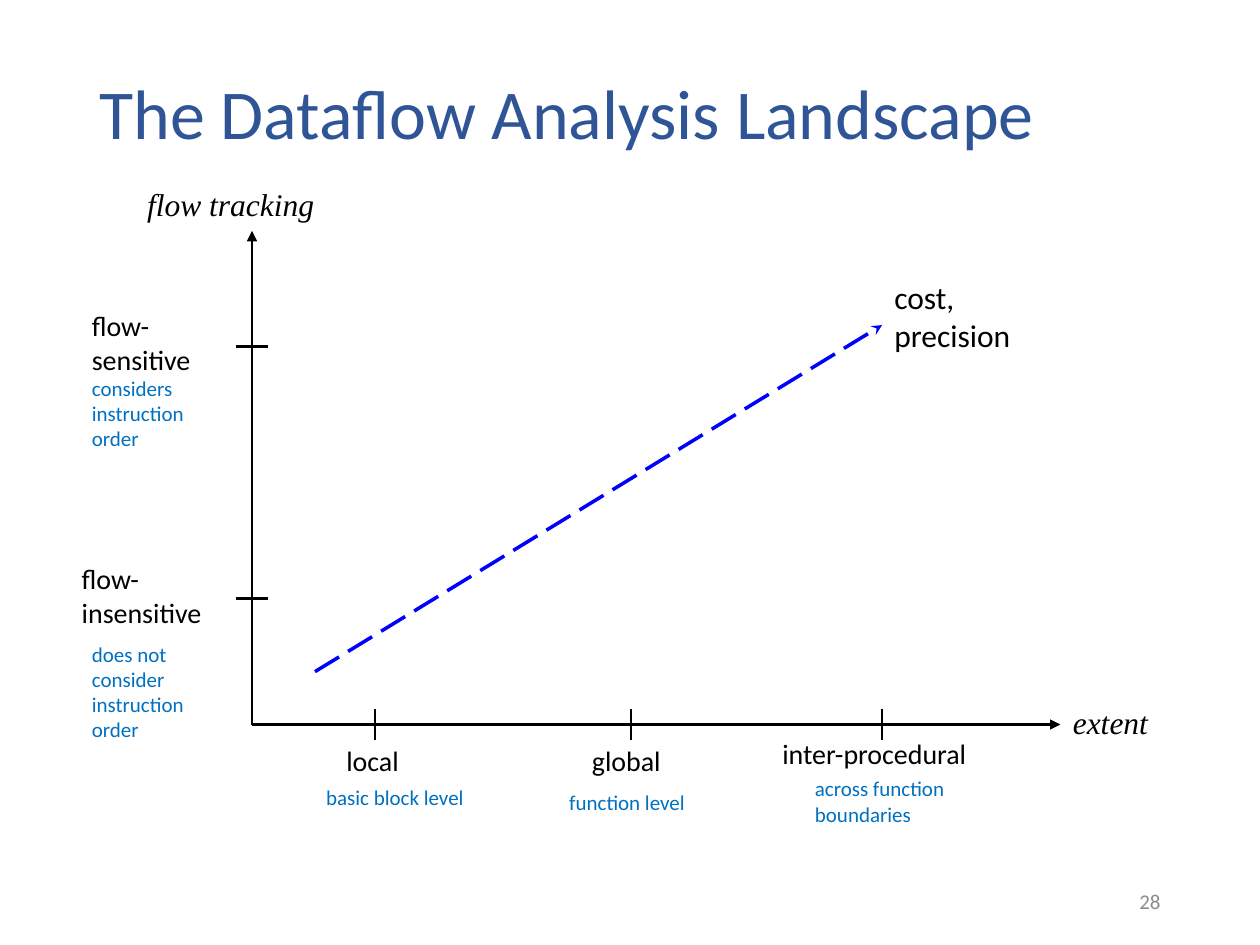
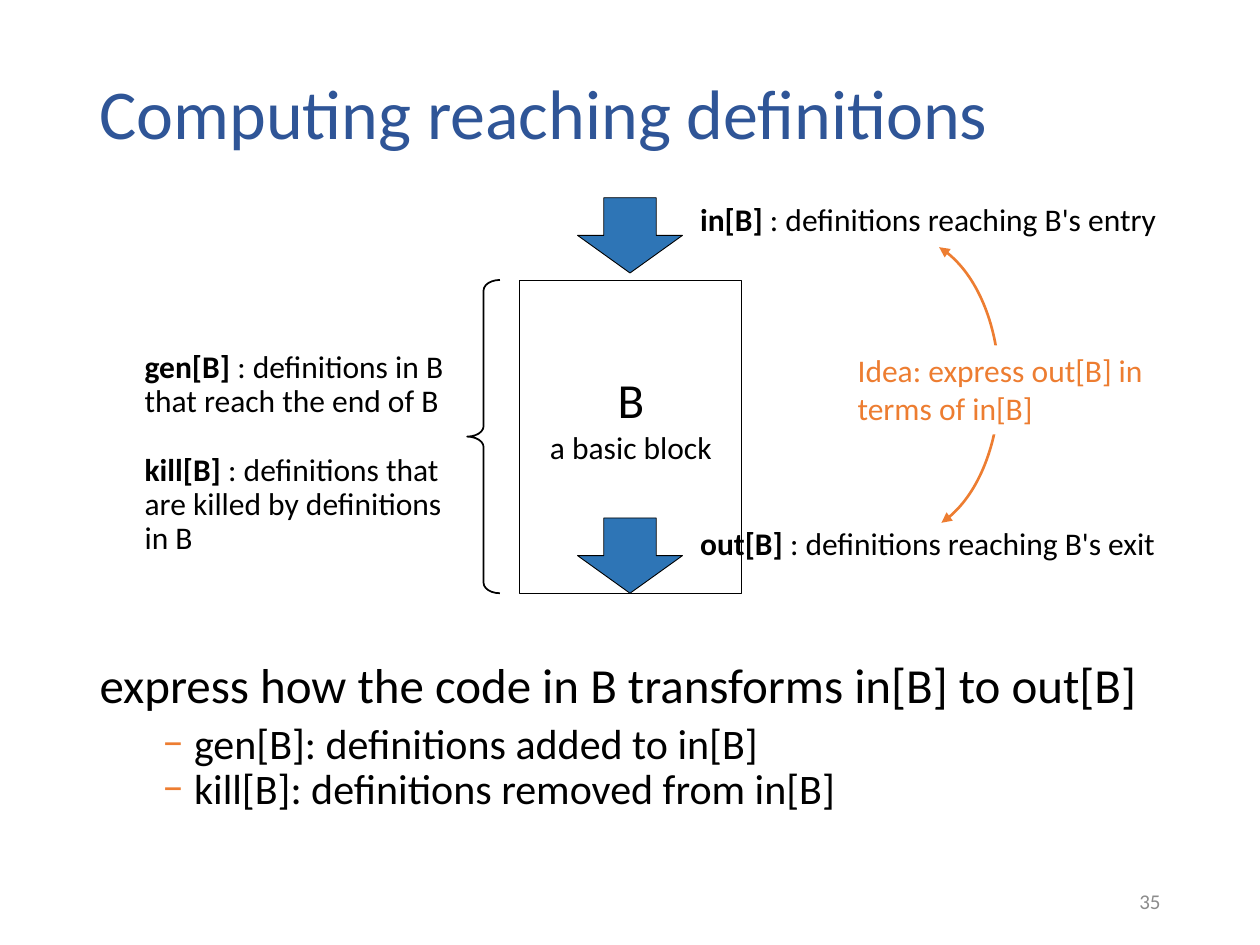
from lxml.etree import SubElement as Sub
from pptx import Presentation
from pptx.dml.color import RGBColor as RGB
from pptx.enum.dml import MSO_LINE as Dash
from pptx.enum.shapes import MSO_CONNECTOR as Conn, MSO_SHAPE as Kind
from pptx.enum.text import MSO_ANCHOR as Anchor, MSO_AUTO_SIZE as Fit, PP_ALIGN as Align
from pptx.oxml.ns import qn
from pptx.util import Pt

BLACK = RGB(0, 0, 0)
WHITE = RGB(255, 255, 255)
NAVY = RGB(0x2F, 0x55, 0x97)
GREY = RGB(0x8C, 0x8C, 0x8C)
SKY = RGB(0x00, 0x70, 0xC0)
BLUE = RGB(0, 0, 255)
STEEL = RGB(0x2E, 0x75, 0xB6)
ORANGE = RGB(0xED, 0x7D, 0x31)
SANS = "Calibri"
SERIF = "Times New Roman"

AXIS = {"size": 18, "name": SERIF, "italic": True}
TICK = {"size": 16}
HINT = {"size": 12, "color": SKY}
TEXT = {"size": 18}
TITLE_BOX = (49.7, 28.8, 620.6, 75.6)
PAGE_BOX = (508.3, 500.4, 162, 28.8)
PLOT_BOX = (144, 132, 462, 282)
FLOW_BOX = (297, 113, 127, 226)
LIST_BOX = (49.7, 374.4, 627, 102.2)


def apply(item, vals):
    for key, val in vals.items():
        setattr(item, key, val)


def style(font, size, color=BLACK, name=SANS, **more):
    apply(font, {"size": Pt(size), "name": name, **more})
    font.color.rgb = color


def write(frame, lines, look, para=None):
    for num, line in enumerate(lines):
        par = frame.paragraphs[0] if num == 0 else frame.add_paragraph()
        apply(par, para or {})
        lead, bar, rest = line.partition("|")
        for part, bold in ((lead, bool(bar)), (rest, False)):
            if part:
                run = par.add_run()
                run.text = part
                style(run.font, **look)
                run.font.bold = bold


def label(slide, box, lines, look, para=None, **frame):
    text = slide.shapes.add_textbox(*map(Pt, box)).text_frame
    apply(text, {"word_wrap": False, "auto_size": Fit.SHAPE_TO_FIT_TEXT, **frame})
    write(text, lines, look, para)
    return text


def ends(shape, **tips):
    line = shape._element.spPr.find(qn("a:ln"))
    for tag, kind in tips.items():
        Sub(line, qn("a:" + tag), type=kind)


def stroke(slide, start, stop, color=BLACK, width=1.25, dash=None, tip=None):
    line = slide.shapes.add_connector(Conn.STRAIGHT, *map(Pt, start + stop))
    line.line.color.rgb = color
    line.line.width = Pt(width)
    if dash:
        line.line.dash_style = dash
    if tip:
        ends(line, tailEnd=tip)
    Sub(line._element.spPr, qn("a:effectLst"))


def shape(slide, kind, box, fill=None, edge=None, width=0.5):
    item = slide.shapes.add_shape(kind, *map(Pt, box))
    item.shadow.inherit = False
    if fill is None:
        item.fill.background()
    else:
        item.fill.solid()
        item.fill.fore_color.rgb = fill
    if edge is None:
        item.line.fill.background()
    else:
        item.line.color.rgb = edge
        item.line.width = Pt(width)
    return item


def place(holder, box):
    apply(holder, dict(zip(("left", "top", "width", "height"), map(Pt, box))))
    apply(holder.text_frame, {"word_wrap": True, "auto_size": Fit.NONE})
    return holder.text_frame


def start(deck, layout, title, page):
    slide = deck.slides.add_slide(deck.slide_layouts[layout])
    frame = place(slide.shapes.title, TITLE_BOX)
    frame.vertical_anchor = Anchor.MIDDLE
    write(frame, [title], {"size": 40, "color": NAVY},
          {"alignment": Align.LEFT, "line_spacing": 0.9})
    label(slide, PAGE_BOX, [page], {"size": 12, "color": GREY},
          {"alignment": Align.RIGHT}, word_wrap=True, auto_size=Fit.NONE,
          vertical_anchor=Anchor.MIDDLE)
    return slide


def plot(slide, box):
    x, y, w, h = box
    base = y + h
    stroke(slide, (x, base), (x + w, base), tip="triangle")
    stroke(slide, (x, base), (x, y), tip="triangle")
    for dx in (70.5, 216.5, 360):
        stroke(slide, (x + dx, base - 9), (x + dx, base + 9))
    for dy in (72, 216):
        stroke(slide, (x + 9, base - dy), (x - 9, base - dy))
    stroke(slide, (x + 36, y + 251.8), (x + 360, y + 53.8),
           BLUE, 2, Dash.LONG_DASH, "stealth")
    names = [
        (462, 266, 62.6, 31.7, ["extent"], AXIS),
        (-67, -30, 121.7, 31.7, ["flow tracking"], AXIS),
        (46.8, 289.2, 47.5, 26.6, ["local"], TICK),
        (187.2, 289.2, 57.6, 26.6, ["global"], TICK),
        (296, 285.6, 127.4, 26.6, ["inter-procedural"], TICK),
        (-104.4, 185.5, 90, 49.7, ["flow-", "insensitive"], TICK),
        (-98.6, 40.8, 77, 49.7, ["flow-", "sensitive"], TICK),
        (360, 23.5, 95.8, 60.5, ["cost,", "precision"], TEXT),
    ]
    for dx, dy, wide, high, lines, look in names:
        label(slide, (x + dx, y + dy, wide, high), lines, look)
    hints = [
        (-98.6, 79, 51, "considers instruction order"),
        (-98.6, 230.9, 65.5, "does not consider instruction order"),
        (35.3, 313, 36, "basic block level"),
        (174.2, 315.8, 21.6, "function level"),
        (314.6, 307.9, 36, "across function boundaries"),
    ]
    for dx, dy, high, text in hints:
        label(slide, (x + dx, y + dy, 92.9, high), [text], HINT, word_wrap=True)


def flow(slide, box):
    x, y, w, h = box
    top, tall = y + 47, h - 47
    block = shape(slide, Kind.RECTANGLE, (x, top, w, tall), edge=BLACK).text_frame
    apply(block, {"word_wrap": True, "vertical_anchor": Anchor.MIDDLE,
                  "margin_bottom": Pt(25.5)})
    write(block, ["B", "a basic block"], TEXT, {"alignment": Align.CENTER})
    block.paragraphs[0].runs[0].font.size = Pt(28)
    ports = [
        (0, -2, "in[B] |: definitions reaching B's entry"),
        (h - 43, h - 43, "out[B] |: definitions reaching B's exit"),
    ]
    for dy, drop, text in ports:
        shape(slide, Kind.DOWN_ARROW, (x + 33, y + dy, 60, 43), STEEL, BLACK)
        label(slide, (x + 96, y + drop, 277, 29), [text], TEXT)
    brace = shape(slide, Kind.LEFT_BRACE, (x - 30, top, 18.7, tall),
                  edge=BLACK, width=1)
    brace.adjustments[0] = 0.319
    notes = label(slide, (x - 221.4, y + 84.3, 188, 125.3),
                  ["gen[B] |: definitions in B that reach the end of B",
                   "kill[B] |: definitions that are killed by definitions in B"],
                  TEXT, {"line_spacing": 0.9}, word_wrap=True)
    notes.paragraphs[1].space_before = Pt(19.8)
    arc = shape(slide, Kind.ARC, (x + 166, y + 22.4, 108, 170),
                edge=ORANGE, width=1.5)
    arc.adjustments[0], arc.adjustments[1] = 170.379, 45.019
    ends(arc, headEnd="triangle", tailEnd="triangle")
    idea = shape(slide, Kind.RECTANGLE, (x + 186, y + 84.3, 186.5, 51), WHITE)
    apply(idea.text_frame, {"word_wrap": True, "vertical_anchor": Anchor.TOP})
    write(idea.text_frame, ["Idea: express out[B] in terms of in[B]"],
          {"size": 18, "color": ORANGE}, {"alignment": Align.LEFT})


def bullets(slide, box):
    frame = place(slide.placeholders[1], box)
    rows = [
        ("express how the code in B transforms in[B] to out[B]", 0, 28, 10, 5),
        ("gen[B]: definitions added to in[B]", 1, 24, 0, 0),
        ("kill[B]: definitions removed from in[B]", 1, 24, 0, 5),
    ]
    write(frame, [row[0] for row in rows], TEXT, {"line_spacing": 0.9})
    for par, (_, level, size, before, after) in zip(frame.paragraphs, rows):
        apply(par, {"level": level, "space_before": Pt(before),
                    "space_after": Pt(after)})
        par.runs[0].font.size = Pt(size)
        props = par._p.get_or_add_pPr()
        props.set("marL", str(Pt(54 * level)))
        props.set("indent", str(Pt(-18 * level)))
        if level:
            Sub(Sub(props, qn("a:buClr")), qn("a:srgbClr"), val=str(ORANGE))
            Sub(props, qn("a:buFont"), typeface=SANS)
            Sub(props, qn("a:buChar"), char="−")
        else:
            Sub(props, qn("a:buNone"))


def main():
    deck = Presentation()
    apply(deck, {"slide_width": Pt(720), "slide_height": Pt(540)})
    plot(start(deck, 5, "The Dataflow Analysis Landscape", "28"), PLOT_BOX)
    slide = start(deck, 1, "Computing reaching definitions", "35")
    flow(slide, FLOW_BOX)
    bullets(slide, LIST_BOX)
    deck.save("out.pptx")


if __name__ == "__main__":
    main()
